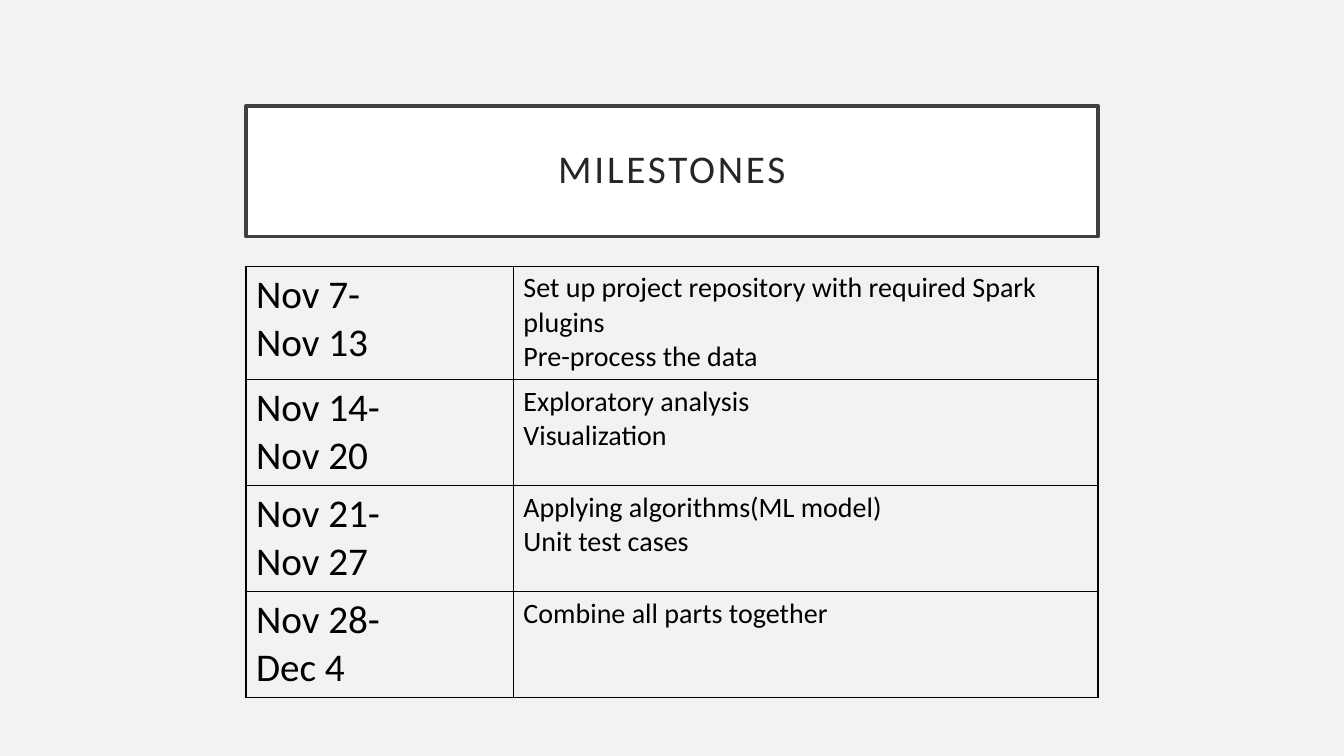
from typing import NamedTuple

from lxml import etree
from pptx import Presentation
from pptx import util as u
from pptx.dml.color import RGBColor
from pptx.enum import shapes, text
from pptx.oxml import ns

FONT = "Calibri"
BLACK = "000000"
WIDTH, HEIGHT = u.Inches(13.33), u.Inches(7.5)

# Shares of the slide's size
LEFT, SPAN = 0.183, 0.634
TITLE_TOP, TITLE_HEIGHT = 0.14, 0.173
TABLE_TOP = 0.352
COLUMN_SHARES = (0.199, 0.435)


class Milestone(NamedTuple):
    dates: list[str]
    tasks: list[str]
    height: float


MILESTONES = [
    Milestone(["Nov 7-", "Nov 13"],
              ["Set up project repository with required Spark plugins",
               "Pre-process the data"], 0.15),
    Milestone(["Nov 14-", "Nov 20"],
              ["Exploratory analysis", "Visualization"], 0.14),
    Milestone(["Nov 21-", "Nov 27"],
              ["Applying algorithms(ML model)", "Unit test cases"], 0.14),
    Milestone(["Nov 28-", "Dec 4"], ["Combine all parts together"], 0.14),
]


def color(value: str) -> RGBColor:
    return RGBColor.from_string(value)


def across(share: float) -> int:
    return round(WIDTH * share)


def down(share: float) -> int:
    return round(HEIGHT * share)


def write(frame, lines: list[str], *, size: float, ink: str = BLACK,
          align=text.PP_ALIGN.LEFT, line_spacing: float = 1.0,
          tracking: float = 0) -> None:
    """Put one paragraph per line into a text frame."""
    frame.word_wrap = True
    for index, line in enumerate(lines):
        para = frame.add_paragraph() if index else frame.paragraphs[0]
        para.alignment = align
        para.line_spacing = line_spacing
        span = para.add_run()
        span.text = line
        span.font.name = FONT
        span.font.size = u.Pt(size)
        span.font.color.rgb = color(ink)
        if tracking:
            span.font._element.set("spc", str(round(tracking * 100)))


def add_borders(cell, ink: str, points: float) -> None:
    """Draw all four edges of a table cell."""
    properties = cell._tc.get_or_add_tcPr()
    for index, edge in enumerate(("a:lnL", "a:lnR", "a:lnT", "a:lnB")):
        line = etree.Element(ns.qn(edge), w=str(u.Pt(points)))
        fill = etree.SubElement(line, ns.qn("a:solidFill"))
        etree.SubElement(fill, ns.qn("a:srgbClr"), val=ink)
        properties.insert(index, line)


def add_title(page, words: str) -> None:
    box = page.shapes.add_shape(
        shapes.MSO_SHAPE.RECTANGLE, across(LEFT), down(TITLE_TOP),
        across(SPAN), down(TITLE_HEIGHT))
    box.shadow.inherit = False
    box.fill.solid()
    box.fill.fore_color.rgb = color("FFFFFF")
    box.line.color.rgb = color("404040")
    box.line.width = u.Pt(2.5)
    frame = box.text_frame
    frame.vertical_anchor = text.MSO_ANCHOR.MIDDLE
    frame.margin_left = frame.margin_right = u.Inches(0.2)
    frame.margin_top = frame.margin_bottom = u.Inches(0.2)
    write(frame, [words], size=28, ink="262626",
          align=text.PP_ALIGN.CENTER, line_spacing=0.9, tracking=2)


def add_schedule(page, milestones: list[Milestone]) -> None:
    total = sum(milestone.height for milestone in milestones)
    table = page.shapes.add_table(
        len(milestones), len(COLUMN_SHARES), across(LEFT), down(TABLE_TOP),
        across(SPAN), down(total)).table
    table.first_row = table.horz_banding = False
    for column, share in zip(table.columns, COLUMN_SHARES):
        column.width = across(share)
    for row, milestone in zip(table.rows, milestones):
        row.height = down(milestone.height)
        contents = ((milestone.dates, 28), (milestone.tasks, 20))
        for cell, (lines, size) in zip(row.cells, contents):
            cell.fill.background()
            add_borders(cell, BLACK, 1)
            write(cell.text_frame, lines, size=size)


# Deck and page
deck = Presentation()
deck.slide_width, deck.slide_height = WIDTH, HEIGHT
page = deck.slides.add_slide(deck.slide_layouts[6])
page.background.fill.solid()
page.background.fill.fore_color.rgb = color("F2F2F2")

# Title and schedule
add_title(page, "MILESTONES")
add_schedule(page, MILESTONES)

deck.save("out.pptx")
